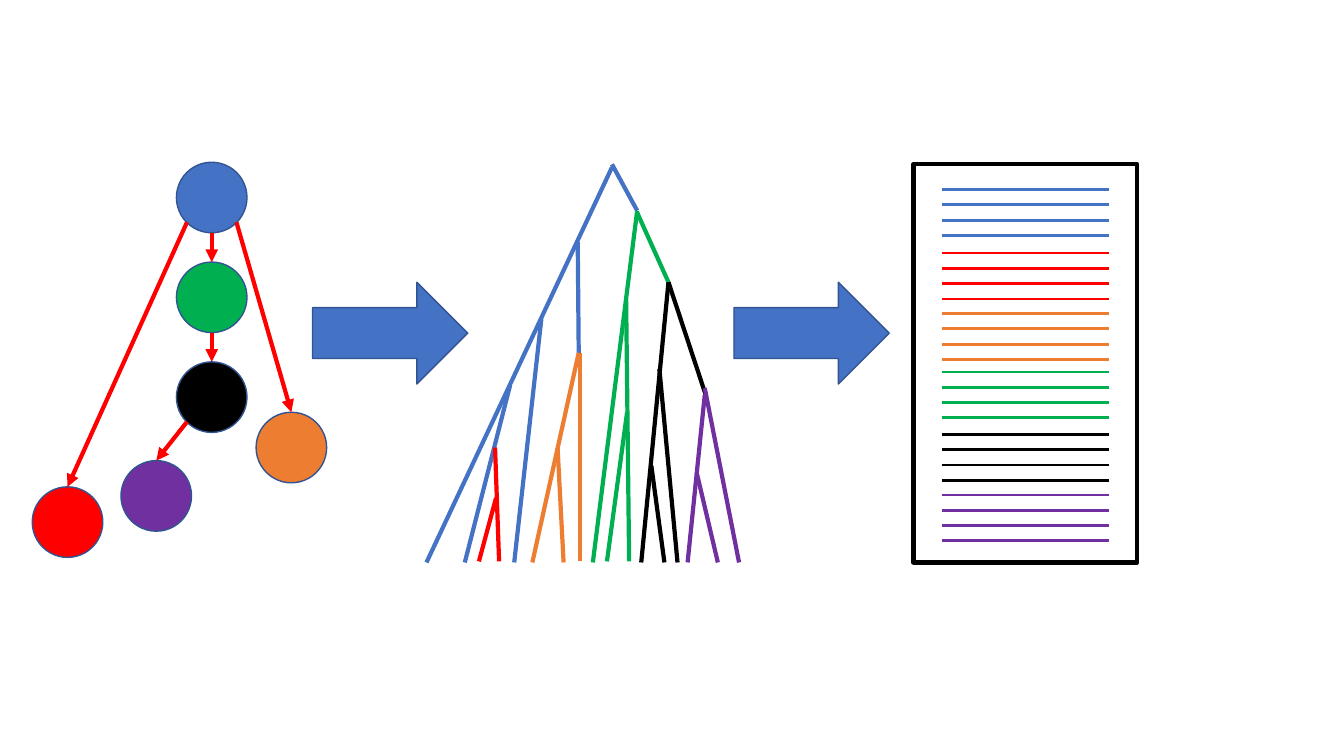
import pptx
import pptx.util
import pptx.dml.color
import pptx.enum.shapes
import pptx.oxml.ns
import lxml.etree

SHAPE = pptx.enum.shapes.MSO_SHAPE
BLUE, RED, ORANGE = "4472C4", "FF0000", "ED7D31"
GREEN, BLACK, PURPLE = "00B050", "000000", "7030A0"
WHITE, OUTLINE = "FFFFFF", "325491"

# The slide is a grid of 1333 columns by 750 rows; boxes are column, row, width, height
COLS, ROWS = 1333, 750
prs = pptx.Presentation()
prs.slide_width = pptx.util.Inches(13.33)
prs.slide_height = pptx.util.Inches(7.5)


def rgb(color):
    return pptx.dml.color.RGBColor.from_string(color)


def across(cols):
    return round(prs.slide_width * cols / COLS)


def down(rows):
    return round(prs.slide_height * rows / ROWS)


def add_shape(s, kind, box, fill, line=OUTLINE, weight=1):
    x, y, w, h = box
    sp = s.shapes.add_shape(kind, across(x), down(y), across(w), down(h))
    sp.shadow.inherit = False
    sp.fill.solid()
    sp.fill.fore_color.rgb = rgb(fill)
    sp.line.color.rgb = rgb(line)
    sp.line.width = pptx.util.Pt(weight)


def add_line(s, start, end, color, weight=3, arrow=False):
    (x1, y1), (x2, y2) = start, end
    ln = s.shapes.add_connector(pptx.enum.shapes.MSO_CONNECTOR.STRAIGHT,
                                across(x1), down(y1), across(x2), down(y2))
    ln.line.color.rgb = rgb(color)
    ln.line.width = pptx.util.Pt(weight)
    qn = pptx.oxml.ns.qn
    if arrow:
        lxml.etree.SubElement(ln.line._get_or_add_ln(), qn("a:tailEnd"), type="triangle")
    lxml.etree.SubElement(ln._element.spPr, qn("a:effectLst"))


# Clones: circles joined by arrows from parent to child
SIZE = 70
CLONES = {BLUE: (143, 0), GREEN: (143, 99), BLACK: (143, 198),
          RED: (0, 322), PURPLE: (88, 296), ORANGE: (222, 248)}
# Points on a circle, as shares of its size
TOP, BOTTOM, LOWER_LEFT, LOWER_RIGHT = (0.5, 0), (0.5, 1), (0.15, 0.85), (0.85, 0.85)
DESCENT = [(BLUE, BOTTOM, GREEN), (BLUE, LOWER_LEFT, RED), (BLUE, LOWER_RIGHT, ORANGE),
           (BLACK, LOWER_LEFT, PURPLE), (GREEN, BOTTOM, BLACK)]


def clone_graph(s, box):
    left, top = box[:2]

    def point(clone, share):
        x, y = CLONES[clone]
        return left + x + SIZE * share[0], top + y + SIZE * share[1]

    for clone in CLONES:
        add_shape(s, SHAPE.OVAL, (*point(clone, (0, 0)), SIZE, SIZE), clone)
    for parent, site, child in DESCENT:
        add_line(s, point(parent, site), point(child, TOP), RED, arrow=True)


# Cell tree: branches by clone, each from x, y to x, y within the box
BRANCHES = {
    BLUE: [(184, 3, 0, 395), (150, 77, 151, 187), (83, 219, 38, 395),
           (184, 0, 209, 46), (114, 153, 87, 395)],
    RED: [(68, 281, 72, 394), (69, 331, 52, 394)],
    ORANGE: [(151, 187, 105, 395), (130, 281, 136, 395), (152, 187, 152, 394)],
    GREEN: [(209, 46, 165, 395), (198, 133, 201, 394), (199, 246, 179, 394),
            (209, 48, 240, 117)],
    BLACK: [(240, 117, 213, 395), (231, 203, 249, 395), (223, 299, 236, 395),
            (240, 117, 277, 229)],
    PURPLE: [(276, 229, 259, 395), (276, 222, 310, 395), (268, 306, 289, 395)],
}


def cell_tree(s, box):
    left, top = box[:2]
    for clone, branches in BRANCHES.items():
        for x1, y1, x2, y2 in branches:
            add_line(s, (left + x1, top + y1), (left + x2, top + y2), clone)


# Sequences: a framed sheet with four rows for each clone
FIRST_ROWS = {BLUE: 25, RED: 88, ORANGE: 148, GREEN: 206, BLACK: 268, PURPLE: 328}
ROWS_PER_CLONE, PITCH, MARGIN = 4, 15.2, 28


def sequence_sheet(s, box):
    left, top, width, _ = box
    add_shape(s, SHAPE.RECTANGLE, box, WHITE, BLACK, 3)
    for clone, first in FIRST_ROWS.items():
        for i in range(ROWS_PER_CLONE):
            y = top + first + i * PITCH
            add_line(s, (left + MARGIN, y), (left + width - MARGIN, y), clone, 2)


def step_arrow(s, box):
    add_shape(s, SHAPE.RIGHT_ARROW, box, BLUE)


# Slide: clones, then tree, then sequences
s = prs.slides.add_slide(prs.slide_layouts[6])
clone_graph(s, (32, 161, 292, 392))
step_arrow(s, (310, 280, 154, 101))
cell_tree(s, (423, 163, 310, 395))
step_arrow(s, (728, 280, 154, 101))
sequence_sheet(s, (906, 163, 222, 395))
prs.save("out.pptx")
